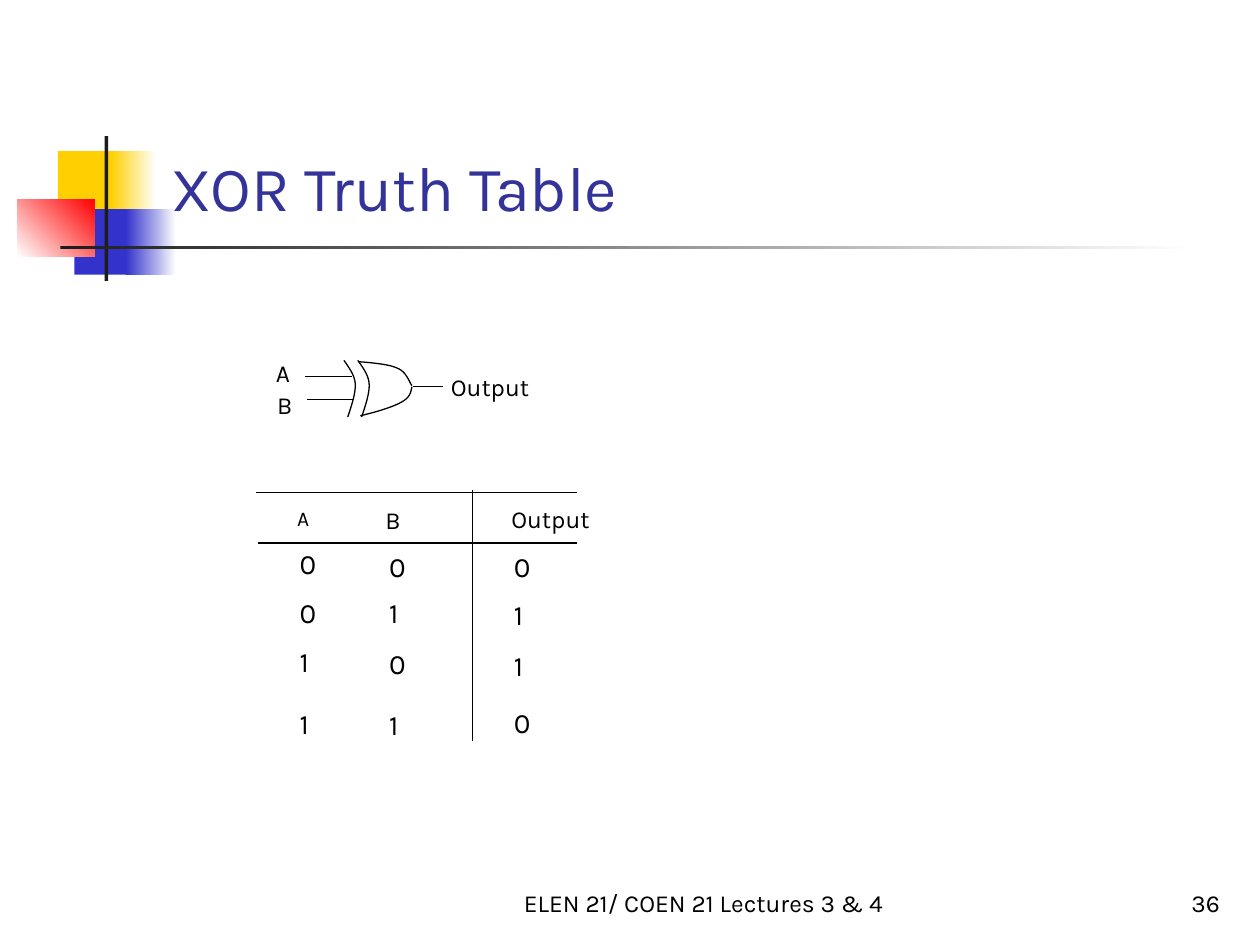
import pptx
import pptx.dml.color
import pptx.enum.shapes
import pptx.enum.text
import pptx.oxml.ns
import pptx.util
import lxml.etree

Inches = pptx.util.Inches
RGBColor = pptx.dml.color.RGBColor
ALIGN = pptx.enum.text.PP_ALIGN
ANCHOR = pptx.enum.text.MSO_ANCHOR
RECTANGLE = pptx.enum.shapes.MSO_SHAPE.RECTANGLE
STRAIGHT = pptx.enum.shapes.MSO_CONNECTOR.STRAIGHT

BLACK = RGBColor(0x00, 0x00, 0x00)
WHITE = RGBColor(0xFF, 0xFF, 0xFF)
CHARCOAL = RGBColor(0x1C, 0x1C, 0x1C)
YELLOW = RGBColor(0xFF, 0xCF, 0x01)
BLUE = RGBColor(0x33, 0x33, 0xCC)
RED = RGBColor(0xFF, 0x00, 0x00)
INDIGO = RGBColor(0x33, 0x33, 0x99)

CURVE_STEPS = 12


def bezier_point(controls, t):
    weights = ((1 - t) ** 3, 3 * t * (1 - t) ** 2, 3 * t ** 2 * (1 - t), t ** 3)
    return tuple(
        Inches(sum(weight * point[axis] for weight, point in zip(weights, controls)))
        for axis in (0, 1)
    )


class SlideBuilder:
    font_name = "Karla"
    line_width = pptx.util.Pt(0.75)

    def __init__(self, page):
        self.page = page

    def block(self, left, top, width, height, start, end=None, angle=0):
        shape = self.page.shapes.add_shape(
            RECTANGLE, Inches(left), Inches(top), Inches(width), Inches(height))
        shape.shadow.inherit = False
        shape.line.fill.background()
        if end is None:
            shape.fill.solid()
            shape.fill.fore_color.rgb = start
        else:
            shape.fill.gradient()
            shape.fill.gradient_angle = angle
            for stop, color in zip(shape.fill.gradient_stops, (start, end)):
                stop.color.rgb = color

    def text(self, words, left, top, width, height, size=14, color=BLACK,
             align=ALIGN.LEFT, anchor=ANCHOR.TOP):
        box = self.page.shapes.add_textbox(
            Inches(left), Inches(top), Inches(width), Inches(height))
        frame = box.text_frame
        frame.word_wrap = True
        frame.vertical_anchor = anchor
        para = frame.paragraphs[0]
        para.text = words
        para.alignment = align
        para.font.name = self.font_name
        para.font.size = pptx.util.Pt(size)
        para.font.color.rgb = color

    def stroke(self, shape):
        shape.line.color.rgb = BLACK
        shape.line.width = self.line_width

    def line(self, x1, y1, x2, y2):
        connector = self.page.shapes.add_connector(
            STRAIGHT, Inches(x1), Inches(y1), Inches(x2), Inches(y2))
        self.stroke(connector)
        lxml.etree.SubElement(
            connector.element.spPr, pptx.oxml.ns.qn("a:effectLst"))

    def curve(self, points):
        start = bezier_point(points[:4], 0)
        outline = [
            bezier_point(points[first:first + 4], step / CURVE_STEPS)
            for first in range(0, len(points) - 1, 3)
            for step in range(1, CURVE_STEPS + 1)
        ]
        builder = self.page.shapes.build_freeform(*start)
        builder.add_line_segments(outline, close=False)
        shape = builder.convert_to_shape()
        shape.shadow.inherit = False
        shape.fill.background()
        self.stroke(shape)


def draw_theme(slide):
    slide.block(0.46, 1.2, 0.48, 0.52, YELLOW)
    slide.block(0.88, 1.2, 0.36, 0.52, YELLOW, WHITE)
    slide.block(0.59, 1.66, 0.46, 0.52, BLUE)
    slide.block(1, 1.66, 0.4, 0.52, BLUE, WHITE)
    slide.block(0.14, 1.58, 0.61, 0.46, WHITE, RED, angle=45)
    slide.block(0.83, 1.08, 0.03, 1.15, CHARCOAL)
    slide.block(0.48, 1.95, 9, 0.03, CHARCOAL, WHITE)


def draw_gate(slide):
    for left in (2.73, 2.84):
        slide.curve([(left + dx, y) for dx, y in (
            (0, 2.86), (0.04, 2.92), (0.09, 2.98), (0.09, 3.06),
            (0.09, 3.13), (0.06, 3.22), (0.03, 3.31))])
    slide.curve([(2.84, 2.87), (2.96, 2.88), (3.08, 2.89), (3.15, 2.92),
                 (3.23, 2.95), (3.25, 3.04), (3.27, 3.06)])
    slide.curve([(3.27, 3.07), (3.26, 3.11), (3.26, 3.15), (3.19, 3.19),
                 (3.12, 3.23), (2.99, 3.27), (2.86, 3.3)])
    slide.line(2.79, 2.99, 2.42, 2.99)
    slide.line(2.81, 3.17, 2.44, 3.17)
    slide.line(3.28, 3.07, 3.52, 3.07)
    slide.text("A", 2.09, 2.79, 0.49, 0.33)
    slide.text("B", 2.1, 3.05, 0.49, 0.33)
    slide.text("Output", 3.48, 2.9, 0.85, 0.33)


def draw_truth_table(slide):
    slide.line(2.03, 3.91, 4.58, 3.91)
    slide.line(2.05, 4.31, 4.58, 4.31)
    slide.line(3.75, 3.89, 3.75, 5.88)
    slide.text("A", 2.26, 3.96, 0.58, 0.3, size=12)
    slide.text("B", 2.96, 3.96, 0.49, 0.33)
    slide.text("Output", 3.96, 3.95, 0.85, 0.33)
    columns = (2.28, 2.99, 3.98)
    rows = (
        ("000", (4.29, 4.31, 4.31)),
        ("011", (4.68, 4.68, 4.69)),
        ("101", (5.07, 5.08, 5.1)),
        ("110", (5.56, 5.57, 5.55)),
    )
    for digits, tops in rows:
        for digit, left, top in zip(digits, columns, tops):
            slide.text(digit, left, top, 0.33, 0.37, size=16)


def main():
    deck = pptx.Presentation()
    deck.slide_width = Inches(10)
    deck.slide_height = Inches(7.5)
    slide = SlideBuilder(deck.slides.add_slide(deck.slide_layouts[6]))
    draw_theme(slide)
    slide.text("ELEN 21/ COEN 21 Lectures 3 & 4", 4, 6.83, 3.17, 0.5,
               align=ALIGN.CENTER, anchor=ANCHOR.BOTTOM)
    slide.text("XOR Truth Table", 1.26, 0.23, 8.52, 1.6, size=36,
               color=INDIGO, anchor=ANCHOR.BOTTOM)
    draw_gate(slide)
    draw_truth_table(slide)
    slide.text("36", 7.7, 6.83, 2.08, 0.5,
               align=ALIGN.RIGHT, anchor=ANCHOR.BOTTOM)
    deck.save("out.pptx")


if __name__ == "__main__":
    main()
